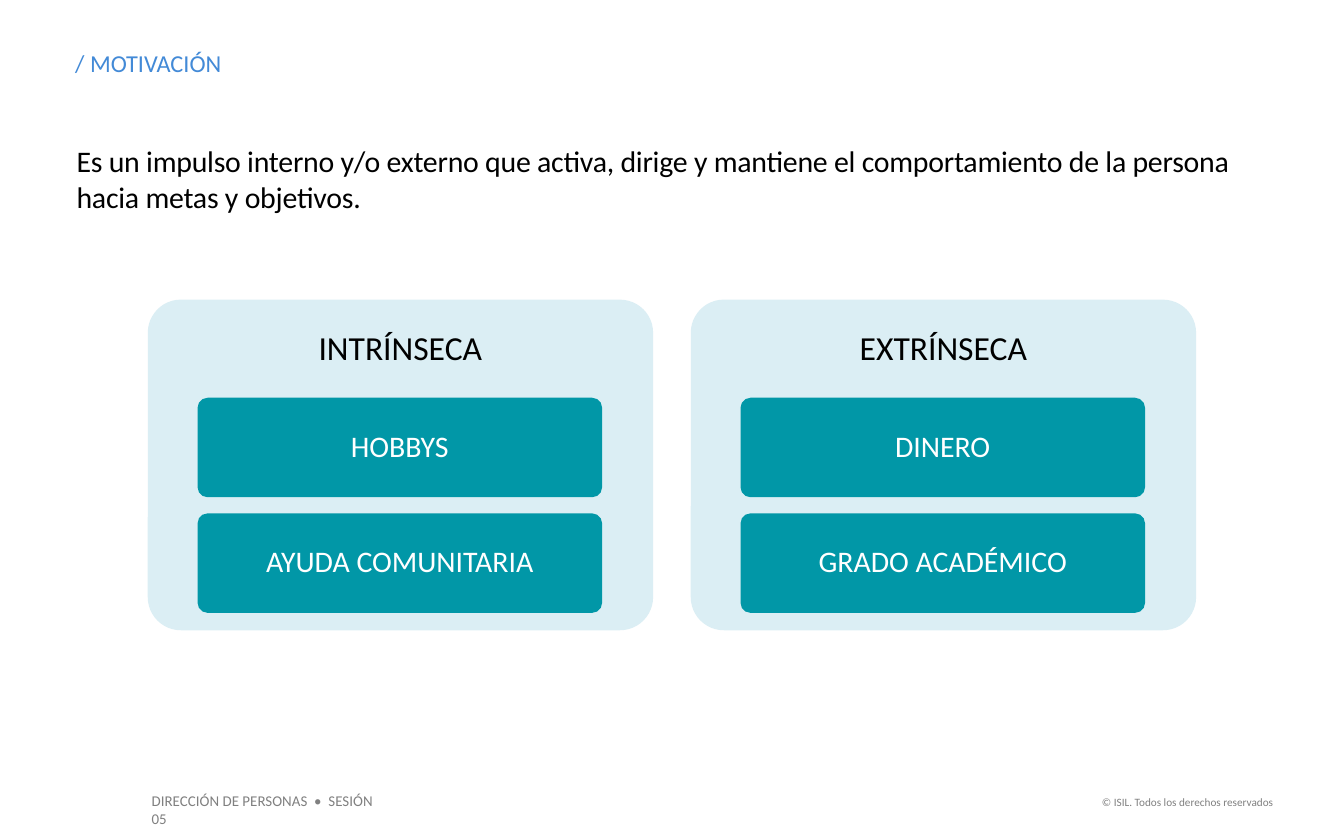
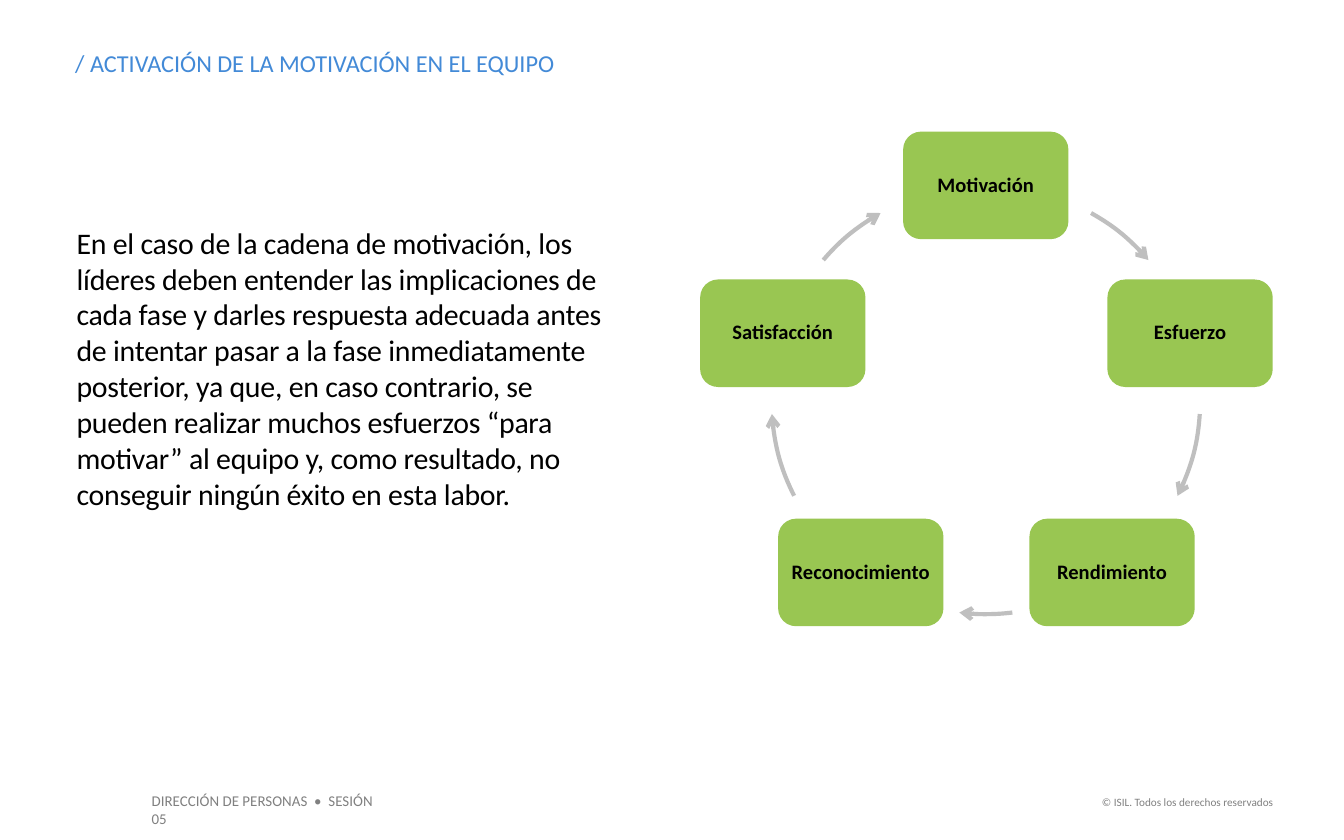
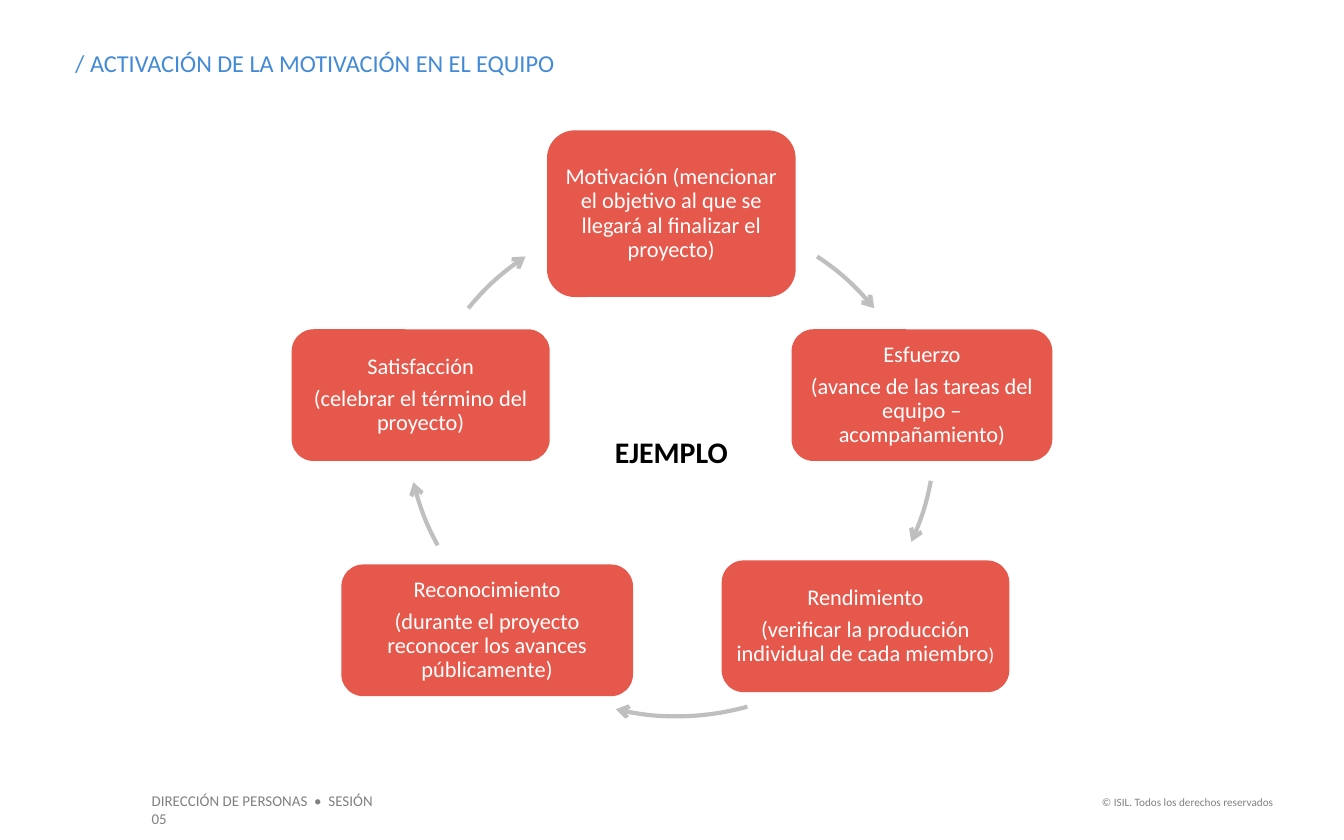
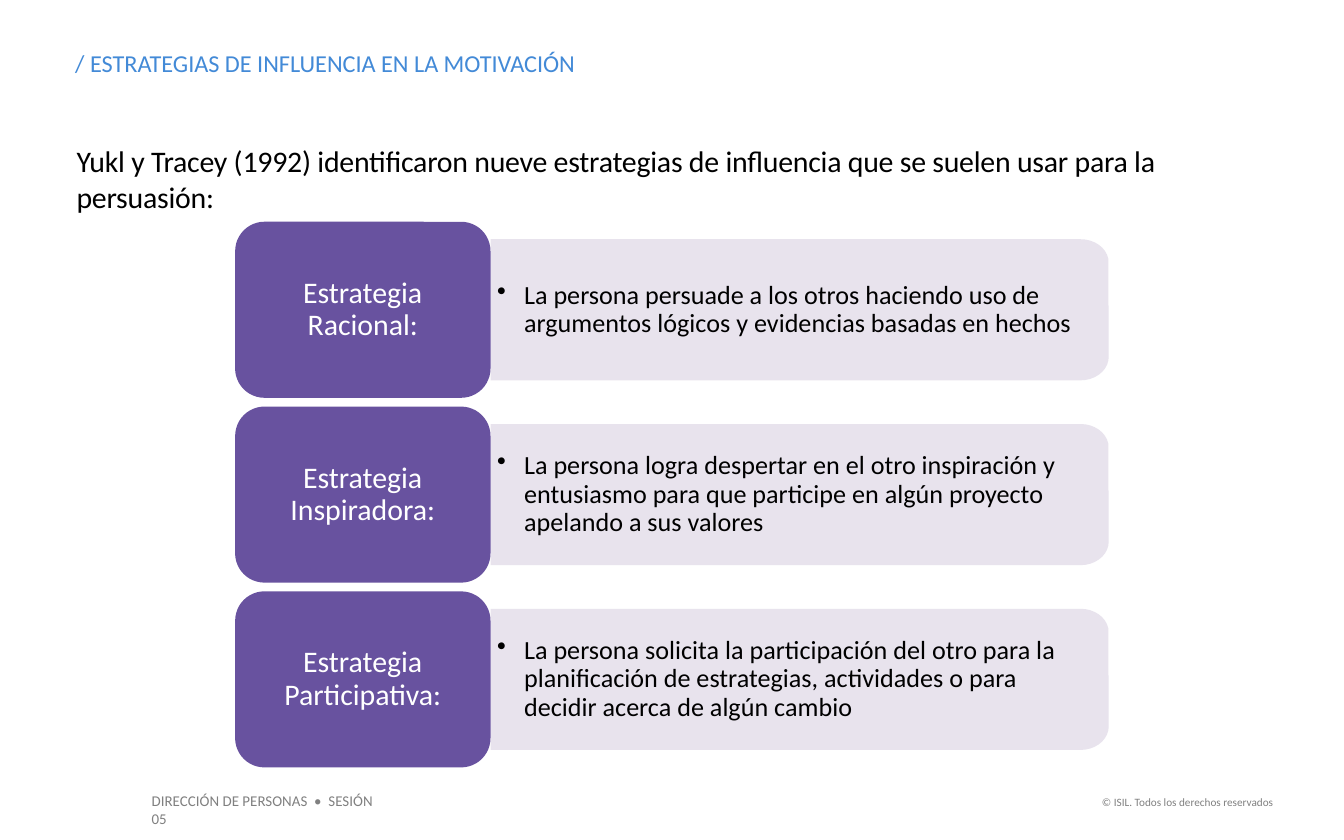
from math import cos, radians, sin

from lxml.etree import SubElement
from pptx import Presentation
from pptx.dml.color import RGBColor
from pptx.enum.shapes import MSO_SHAPE as Form
from pptx.enum.text import MSO_ANCHOR as Anchor, PP_ALIGN as Align
from pptx.oxml.ns import qn
from pptx.util import Pt

PX = 9144  # 100 px to the inch
FONT = "Calibri"
BLACK, WHITE, GREY = "000000", "FFFFFF", "808080"
BLUE, PALE, TEAL = "438AD7", "DBEEF4", "0197A7"
GREEN, RED, SILVER = "99C652", "E5584B", "BFBFBF"
PURPLE, LILAC = "68529F", "E6E0EC"


def rgb(code):
    return RGBColor.from_string(code)


def emu(*sizes):
    return [round(size * PX) for size in sizes]


# Text and shapes
def write(shape, paras, size, color, bold=False, align=Align.CENTER,
          inset=(5, 5, 5, 5), anchor=Anchor.MIDDLE, lead=0.9, wrap=True,
          bullet=False, spc=None):
    frame = shape.text_frame
    frame.word_wrap = wrap
    frame.vertical_anchor = anchor
    (frame.margin_left, frame.margin_top,
     frame.margin_right, frame.margin_bottom) = emu(*inset)
    for i, text in enumerate(paras):
        para = frame.add_paragraph() if i else frame.paragraphs[0]
        para.text = text
        para.alignment = align
        para.line_spacing = lead
        if i:
            para.space_before = Pt(4)
        props = para._p.get_or_add_pPr()
        if bullet:
            props.set("marL", str(20 * PX))
            props.set("indent", str(-20 * PX))
            SubElement(props, qn("a:buChar")).set("char", "•")
        font = para.font
        font.name, font.size, font.bold = FONT, Pt(size), bold
        font.color.rgb = rgb(color)
        if spc:
            props.get_or_add_defRPr().set("spc", str(spc))
    return shape


def paint(shape, color):
    shape.shadow.inherit = False
    shape.fill.solid()
    shape.fill.fore_color.rgb = rgb(color)
    shape.line.fill.background()
    return shape


def round_box(slide, box, color, curve=0.1667):
    shape = slide.shapes.add_shape(Form.ROUNDED_RECTANGLE, *emu(*box))
    shape.adjustments[0] = curve
    return paint(shape, color)


def label(slide, box, text, size, color, **style):
    return write(slide.shapes.add_textbox(*emu(*box)), [text], size, color, **style)


def body(slide, box, text):
    label(slide, box, text, 16, BLACK, align=Align.LEFT, inset=(1, 0, 0, 0),
          anchor=Anchor.TOP, lead=1, spc=-10)


# Shared title and footer
def new_slide(deck, title):
    slide = deck.slides.add_slide(deck.slide_layouts[5])
    head = slide.shapes.title
    head.left, head.top, head.width, head.height = emu(56, 36, 462, 22)
    write(head, [title], 13, BLUE, align=Align.LEFT, inset=(0, 0, 0, 0),
          anchor=Anchor.TOP, lead=1)
    return slide


def add_footer(slide):
    # Built on the slide, then moved to its layout so that all slides share it
    tree = slide.slide_layout.shapes.element
    for box, text, size, align in (
            ((103, 584, 198, 24), "DIRECCIÓN DE PERSONAS  •  SESIÓN 05", 8, Align.LEFT),
            ((805, 587, 152, 20), "© ISIL. Todos los derechos reservados", 6, Align.RIGHT)):
        note = label(slide, box, text, size, GREY, align=align,
                     inset=(10, 5, 10, 5), anchor=Anchor.TOP, lead=1)
        tree.append(note.element)


# Panel with a heading and stacked items
def panel(slide, box, head, items):
    left, top, width, height = box
    round_box(slide, box, PALE, 0.1)
    label(slide, (left, top, width, 74), head, 18, BLACK, inset=(7, 7, 7, 7))
    for i, item in enumerate(items):
        card = round_box(slide, (left + 37, top + 73 + 86 * i, width - 75, 74), TEAL, 0.1)
        write(card, [item], 16, WHITE, inset=(4, 3, 4, 3))


# Clockwise arrow along a circle, angles in degrees
def arc(slide, left, top, side, start, end):
    shape = slide.shapes.add_shape(Form.ARC, *emu(left, top, side, side))
    shape.adjustments[0], shape.adjustments[1] = start * 0.6, end * 0.6
    shape.shadow.inherit = False
    shape.fill.background()
    shape.line.color.rgb = rgb(SILVER)
    shape.line.width = Pt(2.25)
    SubElement(shape.element.get_or_add_ln(), qn("a:tailEnd")).set("type", "arrow")


# Cycle: boxes and arrows placed from the corner given
def cycle(slide, left, top, nodes, arcs, fill, size, color, bold=False):
    shapes = []
    for (x, y, width, height), paras in nodes:
        node = round_box(slide, (left + x, top + y, width, height), fill)
        shapes.append(write(node, paras, size, color, bold))
    for x, y, side, start, end in arcs:
        arc(slide, left + x, top + y, side, start, end)
    return shapes


# Row: name box at left, band with rounded right corners beside it
def strategy(slide, left, top, name, text):
    x, y, width, height, rx, ry = left + 190, top + 13, 460, 105, 21, 17.5
    turns = [radians(a) for a in range(-90, 91, 10)]
    edge = [(x + width - rx + rx * cos(a),
             y + (ry if a < 0 else height - ry) + ry * sin(a)) for a in turns]
    pen = slide.shapes.build_freeform(*emu(x, y))
    pen.add_line_segments([emu(*point) for point in edge + [(x, y + height)]])
    band = paint(pen.convert_to_shape(), LILAC)
    tint = next(band.element.iter(qn("a:srgbClr")))
    SubElement(tint, qn("a:alpha")).set("val", "90000")
    write(band, [text], 14, BLACK, align=Align.LEFT, inset=(5, 8, 11, 8), bullet=True)
    card = round_box(slide, (left, top, 190, 131), PURPLE)
    write(card, [name], 16, WHITE, inset=(7, 4, 7, 4))


# Slides
def kinds(deck):
    slide = new_slide(deck, "/ MOTIVACIÓN")
    add_footer(slide)
    body(slide, (56, 106, 889, 81),
         "Es un impulso interno y/o externo que activa, dirige y mantiene el "
         "comportamiento de la persona hacia metas y objetivos.")
    groups = (("INTRÍNSECA", ("HOBBYS", "AYUDA COMUNITARIA")),
              ("EXTRÍNSECA", ("DINERO", "GRADO ACADÉMICO")))
    for i, (head, items) in enumerate(groups):
        panel(slide, (110 + 404 * i, 223, 376, 246), head, items)


def chain(deck):
    slide = new_slide(deck, "/ ACTIVACIÓN DE LA MOTIVACIÓN EN EL EQUIPO")
    body(slide, (56, 167, 408, 215),
         "En el caso de la cadena de motivación, los líderes deben entender las "
         "implicaciones de cada fase y darles respuesta adecuada antes de intentar "
         "pasar a la fase inmediatamente posterior, ya que, en caso contrario, se "
         "pueden realizar muchos esfuerzos “para motivar” al equipo y, como "
         "resultado, no conseguir ningún éxito en esta labor.")
    spots = ((151, 0, "Motivación"), (303, 110, "Esfuerzo"), (245, 288, "Rendimiento"),
             (58, 288, "Reconocimiento"), (0, 110, "Satisfacción"))
    nodes = [((x, y, 123, 80), [name]) for x, y, name in spots]
    spans = ((299.4, 319.3), (3.8, 26.6), (82.9, 97.1), (153.4, 176.2), (220.7, 240.6))
    arcs = [(53, 40, 319, *span) for span in spans]
    cycle(slide, 521, 98, nodes, arcs, GREEN, 11, BLACK, bold=True)


def example(deck):
    slide = new_slide(deck, "/ ACTIVACIÓN DE LA MOTIVACIÓN EN EL EQUIPO")
    nodes = (
        ((190, 0, 185, 124), ["Motivación (mencionar el objetivo al que se llegará "
                              "al finalizar el proyecto)"]),
        ((372, 148, 194, 98), ["Esfuerzo",
                               "(avance de las tareas del equipo – acompañamiento)"]),
        ((320, 320, 214, 98), ["Rendimiento",
                               "(verificar la producción individual de cada miembro"]),
        ((37, 323, 217, 98), ["Reconocimiento",
                              "(durante el proyecto reconocer los avances públicamente)"]),
        ((0, 148, 192, 98), ["Satisfacción", "(celebrar el término del proyecto)"]))
    arcs = ((87, 61, 391, 303.7, 320.6), (88, 29, 391, 10.7, 24.7),
            (91, 45, 391, 74.4, 103.4), (85, 20, 391, 151.5, 166.3),
            (87, 61, 391, 219.4, 236.3))
    shapes = cycle(slide, 217, 97, nodes, arcs, RED, 12, WHITE)
    mark = shapes[2].text_frame.paragraphs[-1].add_run()
    mark.text, mark.font.size = ")", Pt(10)
    label(slide, (447, 318, 105, 37), "EJEMPLO", 16, BLACK, bold=True,
          inset=(10, 5, 10, 5), anchor=Anchor.TOP, lead=1, wrap=False)


def tactics(deck):
    slide = new_slide(deck, "/ ESTRATEGIAS DE INFLUENCIA EN LA MOTIVACIÓN")
    body(slide, (56, 106, 889, 54),
         "Yukl y Tracey (1992) identificaron nueve estrategias de influencia que se "
         "suelen usar para la persuasión:")
    rows = (
        ("Estrategia\vRacional:",
         "La persona persuade a los otros haciendo uso de argumentos lógicos y "
         "evidencias basadas en hechos"),
        ("Estrategia Inspiradora:",
         "La persona logra despertar en el otro inspiración y entusiasmo para que "
         "participe en algún proyecto apelando a sus valores"),
        ("Estrategia Participativa:",
         "La persona solicita la participación del otro para la planificación de "
         "estrategias, actividades o para decidir acerca de algún cambio"))
    for i, (name, text) in enumerate(rows):
        strategy(slide, 175, 165 + 137.5 * i, name, text)


def main():
    deck = Presentation()
    deck.slide_width, deck.slide_height = emu(1000, 625)
    for build in (kinds, chain, example, tactics):
        build(deck)
    deck.save("out.pptx")


if __name__ == "__main__":
    main()
